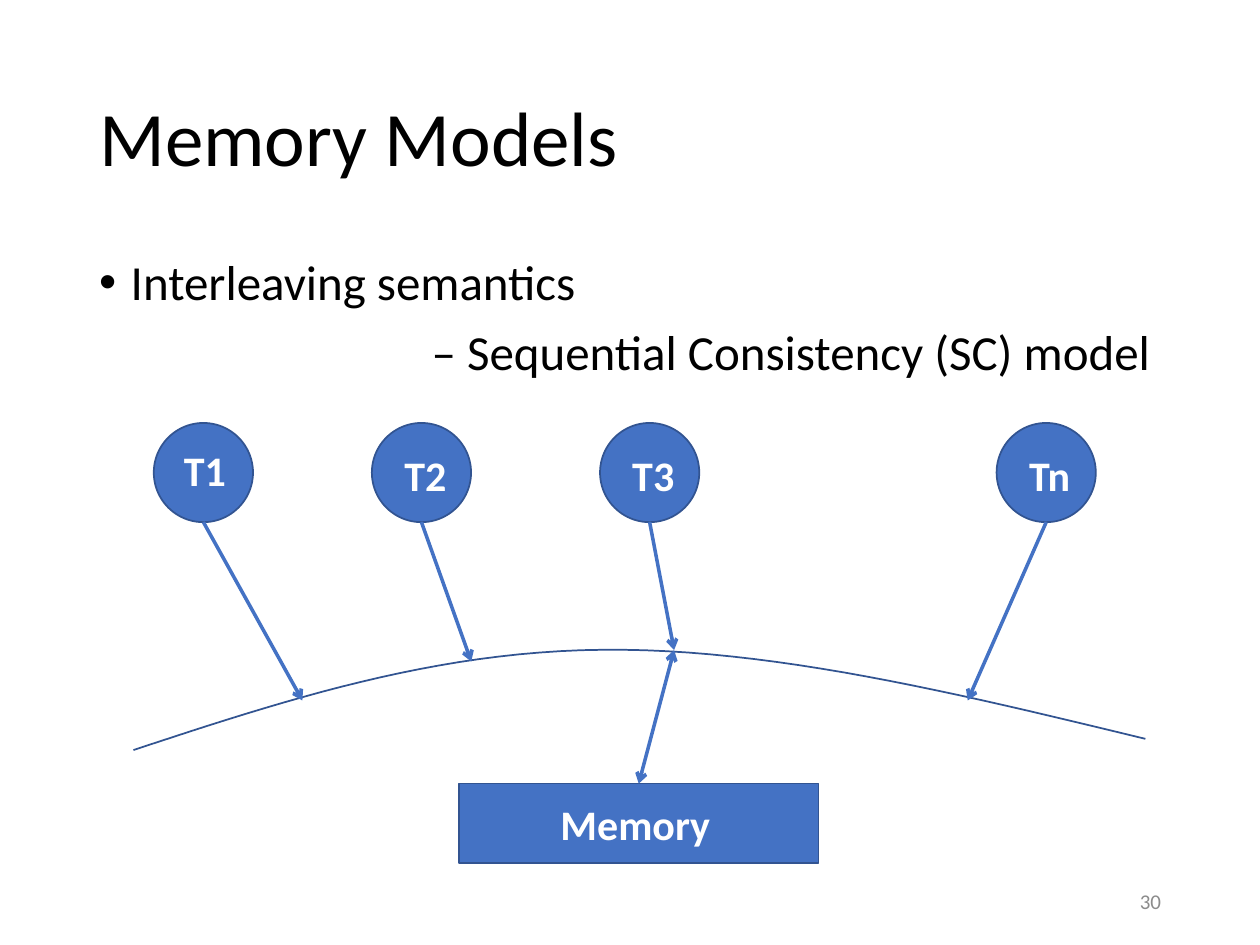
from dataclasses import dataclass

from lxml.etree import SubElement
from pptx import Presentation
from pptx.dml.color import RGBColor
from pptx.enum.shapes import MSO_CONNECTOR, MSO_SHAPE
from pptx.enum.text import MSO_ANCHOR, MSO_AUTO_SIZE, PP_ALIGN
from pptx.oxml.ns import qn
from pptx.util import Pt

COLORS = {"black": "000000", "white": "FFFFFF", "gray": "8C8C8C",
          "blue": "4472C4", "outline": "325491"}
FONT = "Calibri"
CIRCLE_TOP, CIRCLE_SIZE = 241.7, 56.7
CURVE_STEPS = 24


@dataclass
class Thread:
    label: str
    left: float
    label_left: float
    label_top: float
    target: tuple[float, float]


THREADS = [
    Thread("T1", 87.9, 98, 250.5, (172.8, 400.3)),
    Thread("T2", 212.5, 224, 252.9, (269.3, 378)),
    Thread("T3", 342.9, 354.2, 252.9, (385.2, 371.5)),
    Thread("Tn", 569.5, 581, 252.9, (553, 400.3)),
]
# Two cubic Bezier segments, joined at the top of the arc
CURVE = [
    [(76.3, 428.6), (162, 400.3), (247.7, 372.2), (344.2, 371.3)],
    [(344.2, 371.3), (440.6, 370.2), (547.2, 396.2), (654.5, 422.2)],
]


def color(name: str) -> RGBColor:
    return RGBColor.from_string(COLORS[name])


def write(paragraph, text: str, *, size: float, fill: str = "black", bold: bool = False,
          align=PP_ALIGN.LEFT, line_spacing: float = 1.0, before: float = 0) -> None:
    paragraph.alignment = align
    paragraph.line_spacing = line_spacing
    paragraph.space_before = Pt(before)
    run = paragraph.add_run()
    run.text = text
    font = run.font
    font.name, font.size, font.bold = FONT, Pt(size), bold
    font.color.rgb = color(fill)


def place(shape, left: float, top: float, width: float, height: float) -> None:
    shape.left, shape.top = Pt(left), Pt(top)
    shape.width, shape.height = Pt(width), Pt(height)


def set_bullet(paragraph, character: str | None, indent: float) -> None:
    properties = paragraph._p.get_or_add_pPr()
    properties.set("marL", str(Pt(indent)))
    properties.set("indent", str(-Pt(indent)))
    if character:
        SubElement(properties, qn("a:buChar"), char=character)
    else:
        SubElement(properties, qn("a:buNone"))


def add_label(slide, text: str, left: float, top: float, width: float, height: float,
              **text_format) -> None:
    frame = slide.shapes.add_textbox(Pt(left), Pt(top), Pt(width), Pt(height)).text_frame
    frame.word_wrap = True
    frame.vertical_anchor = MSO_ANCHOR.MIDDLE
    write(frame.paragraphs[0], text, **text_format)


def add_block(slide, kind, left: float, top: float, width: float, height: float) -> None:
    shape = slide.shapes.add_shape(kind, Pt(left), Pt(top), Pt(width), Pt(height))
    shape.shadow.inherit = False
    shape.fill.solid()
    shape.fill.fore_color.rgb = color("blue")
    shape.line.color.rgb = color("outline")
    shape.line.width = Pt(1)


def add_arrow(slide, start: tuple[float, float], end: tuple[float, float],
              both_ends: bool = False) -> None:
    connector = slide.shapes.add_connector(
        MSO_CONNECTOR.STRAIGHT, *(Pt(value) for value in (*start, *end)))
    connector.line.color.rgb = color("blue")
    connector.line.width = Pt(2)
    line = connector.line._get_or_add_ln()
    if both_ends:
        SubElement(line, qn("a:headEnd"), type="arrow")
    SubElement(line, qn("a:tailEnd"), type="arrow")
    SubElement(connector._element.spPr, qn("a:effectLst"))


def bezier_point(controls: list[tuple[float, float]], t: float) -> tuple[float, float]:
    weights = ((1 - t) ** 3, 3 * t * (1 - t) ** 2, 3 * t ** 2 * (1 - t), t ** 3)
    x, y = (sum(w * point[axis] for w, point in zip(weights, controls)) for axis in (0, 1))
    return x, y


def add_curve(slide) -> None:
    points = [bezier_point(segment, step / CURVE_STEPS)
              for segment in CURVE for step in range(1, CURVE_STEPS + 1)]
    start_x, start_y = CURVE[0][0]
    builder = slide.shapes.build_freeform(Pt(start_x), Pt(start_y))
    builder.add_line_segments([(Pt(x), Pt(y)) for x, y in points], close=False)
    curve = builder.convert_to_shape()
    curve.shadow.inherit = False
    curve.fill.background()
    curve.line.color.rgb = color("outline")
    curve.line.width = Pt(1)


def main() -> None:
    presentation = Presentation()
    presentation.slide_width, presentation.slide_height = Pt(720), Pt(540)
    slide = presentation.slides.add_slide(presentation.slide_layouts[1])

    # Title and list
    title, body = slide.shapes.title, slide.placeholders[1]
    place(title, 49.5, 28.75, 621, 104.4)
    place(body, 49.5, 143.75, 621, 342.6)
    for placeholder, anchor in ((title, MSO_ANCHOR.MIDDLE), (body, MSO_ANCHOR.TOP)):
        placeholder.text_frame.auto_size = MSO_AUTO_SIZE.NONE
        placeholder.text_frame.vertical_anchor = anchor
    write(title.text_frame.paragraphs[0], "Memory Models", size=44, line_spacing=0.9)
    first = body.text_frame.paragraphs[0]
    set_bullet(first, "•", 18)
    write(first, "Interleaving semantics", size=28, line_spacing=0.9)
    second = body.text_frame.add_paragraph()
    set_bullet(second, None, 0)
    write(second, "– Sequential Consistency (SC) model ", size=28, line_spacing=0.9,
          before=10, align=PP_ALIGN.RIGHT)

    # Slide number
    add_label(slide, "30", 508.5, 500.5, 162, 28.75, size=12, fill="gray",
              align=PP_ALIGN.RIGHT)

    # Shared memory below the arc
    add_curve(slide)
    add_block(slide, MSO_SHAPE.RECTANGLE, 262.2, 447.8, 205.5, 45.4)
    add_label(slide, "Memory", 313.2, 452.4, 108, 36.3, size=24, fill="white", bold=True)
    add_arrow(slide, (365, 447.8), (385.2, 371.5), both_ends=True)

    # Threads
    for thread in THREADS:
        add_block(slide, MSO_SHAPE.OVAL, thread.left, CIRCLE_TOP, CIRCLE_SIZE, CIRCLE_SIZE)
        bottom = (thread.left + CIRCLE_SIZE / 2, CIRCLE_TOP + CIRCLE_SIZE)
        add_arrow(slide, bottom, thread.target)
        add_label(slide, thread.label, thread.label_left, thread.label_top, 48, 36.3,
                  size=24, fill="white", bold=True)

    presentation.save("out.pptx")


if __name__ == "__main__":
    main()
